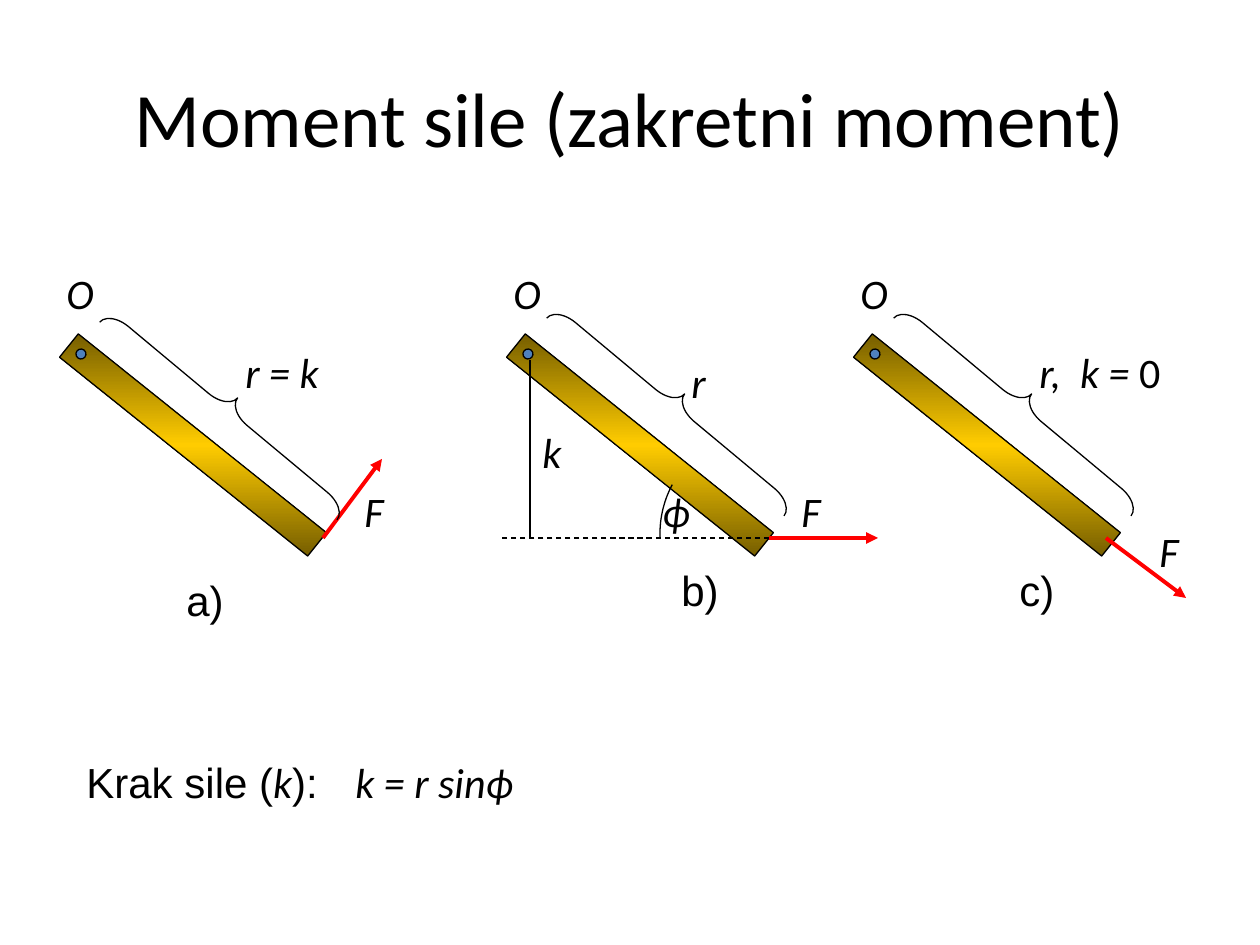
"""Build the slide about the moment of a force."""
import math
from dataclasses import dataclass

from lxml import etree
from pptx import Presentation, util as u
from pptx.dml.color import RGBColor
from pptx.enum import dml, shapes, text
from pptx.oxml import parse_xml
from pptx.oxml.ns import nsdecls, qn

PX = 914400 / 126
BLACK, RED, GOLD, DARK_GOLD, BLUE = "000000", "FF0000", "FFCC00", "765E00", "4F81BD"
FORCE_Y = 538


@dataclass(frozen=True)
class Span:
    words: str
    font: str = "Calibri"
    italic: bool = True
    size: int = 24
    spacing: int = 0


@dataclass(frozen=True)
class Label:
    x: int
    y: int
    width: int
    spans: tuple[Span, ...]
    height: int = 63


@dataclass(frozen=True)
class Lever:
    x: int
    brace_y: int
    force_start: int
    force_end: tuple[int, int]
    labels: tuple[Label, ...]


def px(value: float) -> int:
    return u.Emu(round(value * PX))


def color(value: str) -> RGBColor:
    return RGBColor.from_string(value)


def plain(words: str) -> Span:
    return Span(words, "Arial", False)


def symbol(x: int, y: int, width: int, words: str) -> Label:
    return Label(x, y, width, (Span(words),))


def letter(x: int, y: int, words: str) -> Label:
    return Label(x, y, 63, (plain(words),))


LEVERS = (
    Lever(34, 255, 323, (382, 459), (
        symbol(352, 479, 45, "F"), letter(174, 568, "a)"),
        symbol(233, 340, 100, "r = k"))),
    Lever(481, 251, 769, (878, FORCE_Y), (
        symbol(789, 479, 45, "F"), letter(669, 558, "b)"),
        symbol(530, 420, 44, "k"), symbol(679, 350, 49, "r"),
        symbol(650, 479, 50, "ϕ"))),
    Lever(828, 251, 1106, (1186, 598), (
        symbol(1147, 519, 45, "F"), letter(1007, 558, "c)"),
        Label(1027, 340, 147, (
            Span("r,"), Span(" ", spacing=540), Span("k = "),
            Span("0", italic=False))))),
)
FORMULA = (
    Label(74, 750, 271, (plain("Krak sile ("), Span("k"), plain("):"))),
    Label(343, 750, 192, (Span("k = r sinϕ"), Span(" ", "Arial", False, 18))),
)
TITLE = Label(63, 38, 1134,
              (Span("Moment sile (zakretni moment)", italic=False, size=44),), 158)


def add_label(page, label: Label, title: bool = False) -> None:
    box = page.shapes.add_textbox(*map(px, (label.x, label.y, label.width, label.height)))
    frame = box.text_frame
    frame.word_wrap = title
    frame.auto_size = (text.MSO_AUTO_SIZE.NONE if title
                       else text.MSO_AUTO_SIZE.SHAPE_TO_FIT_TEXT)
    para = frame.paragraphs[0]
    if title:
        frame.vertical_anchor = text.MSO_ANCHOR.MIDDLE
        para.alignment = text.PP_ALIGN.CENTER
    for part in label.spans:
        span = para.add_run()
        span.text = part.words
        span.font.name = part.font
        span.font.size = u.Pt(part.size)
        span.font.italic = part.italic
        span.font.color.rgb = color(BLACK)
        if part.spacing:
            span.font._element.set("spc", str(part.spacing))


def outline(shape) -> None:
    shape.shadow.inherit = False
    shape.line.color.rgb = color(BLACK)
    shape.line.width = u.Pt(0.75)


def add_figure(parent, kind, frame: tuple[int, ...], rotation: float):
    shape = parent.shapes.add_shape(kind, *map(px, frame))
    shape.rotation = rotation
    outline(shape)
    return shape


def add_line(page, start: tuple[int, int], end: tuple[int, int],
             ink: str = BLACK, width: float = 0.75, dashed: bool = False,
             arrow: bool = False) -> None:
    line = page.shapes.add_connector(
        shapes.MSO_CONNECTOR.STRAIGHT, *map(px, start + end))
    line.line.color.rgb = color(ink)
    line.line.width = u.Pt(width)
    if dashed:
        line.line.dash_style = dml.MSO_LINE.DASH
    if arrow:
        tail = etree.SubElement(line.line._get_or_add_ln(), qn("a:tailEnd"))
        tail.set("type", "triangle")
    etree.SubElement(line._element.spPr, qn("a:effectLst"))


def fill_gold(bar) -> None:
    """Shade the bar from dark to gold to dark, down the page."""
    stops = "".join(
        f'<a:gs pos="{place}"><a:srgbClr val="{tone}"/></a:gs>'
        for place, tone in ((0, DARK_GOLD), (50000, GOLD), (100000, DARK_GOLD)))
    gradient = parse_xml(
        f'<a:gradFill {nsdecls("a")} rotWithShape="0"><a:gsLst>{stops}</a:gsLst>'
        '<a:lin ang="5400000" scaled="1"/></a:gradFill>')
    bar._element.spPr.find(qn("a:prstGeom")).addnext(gradient)


def add_lever(page, lever: Lever) -> None:
    group = page.shapes.add_group_shape()
    fill_gold(add_figure(group, shapes.MSO_SHAPE.RECTANGLE,
                         (lever.x, 430, 318, 30), 38.7))
    pivot = add_figure(group, shapes.MSO_SHAPE.OVAL, (lever.x + 42, 349, 10, 10), 38.7)
    pivot.fill.solid()
    pivot.fill.fore_color.rgb = color(BLUE)
    add_line(page, (lever.force_start, FORCE_Y), lever.force_end, RED, 2.25, arrow=True)
    brace = add_figure(page, shapes.MSO_SHAPE.RIGHT_BRACE,
                       (lever.x + 179, lever.brace_y, 30, 309), 309.8)
    brace.adjustments[0] = 0.83
    brace.fill.background()
    for label in (symbol(lever.x + 20, 261, 53, "O"),) + lever.labels:
        add_label(page, label)


def add_angle(page, center: tuple[int, int], radius: int) -> None:
    points = [(px(center[0] + radius * math.cos(math.radians(degrees))),
               px(center[1] - radius * math.sin(math.radians(degrees))))
              for degrees in range(182, 151, -2)]
    builder = page.shapes.build_freeform(*points[0])
    builder.add_line_segments(points[1:], close=False)
    arc = builder.convert_to_shape()
    arc.fill.background()
    outline(arc)


def main() -> None:
    deck = Presentation()
    deck.slide_width, deck.slide_height = px(1260), px(945)
    page = deck.slides.add_slide(deck.slide_layouts[6])
    add_label(page, TITLE, title=True)
    for lever in LEVERS:
        add_lever(page, lever)
    add_line(page, (769, FORCE_Y), (501, FORCE_Y), dashed=True)
    add_line(page, (530, 360), (530, FORCE_Y))
    add_angle(page, (765, 534), 105)
    for label in FORMULA:
        add_label(page, label)
    deck.save("out.pptx")


if __name__ == "__main__":
    main()
